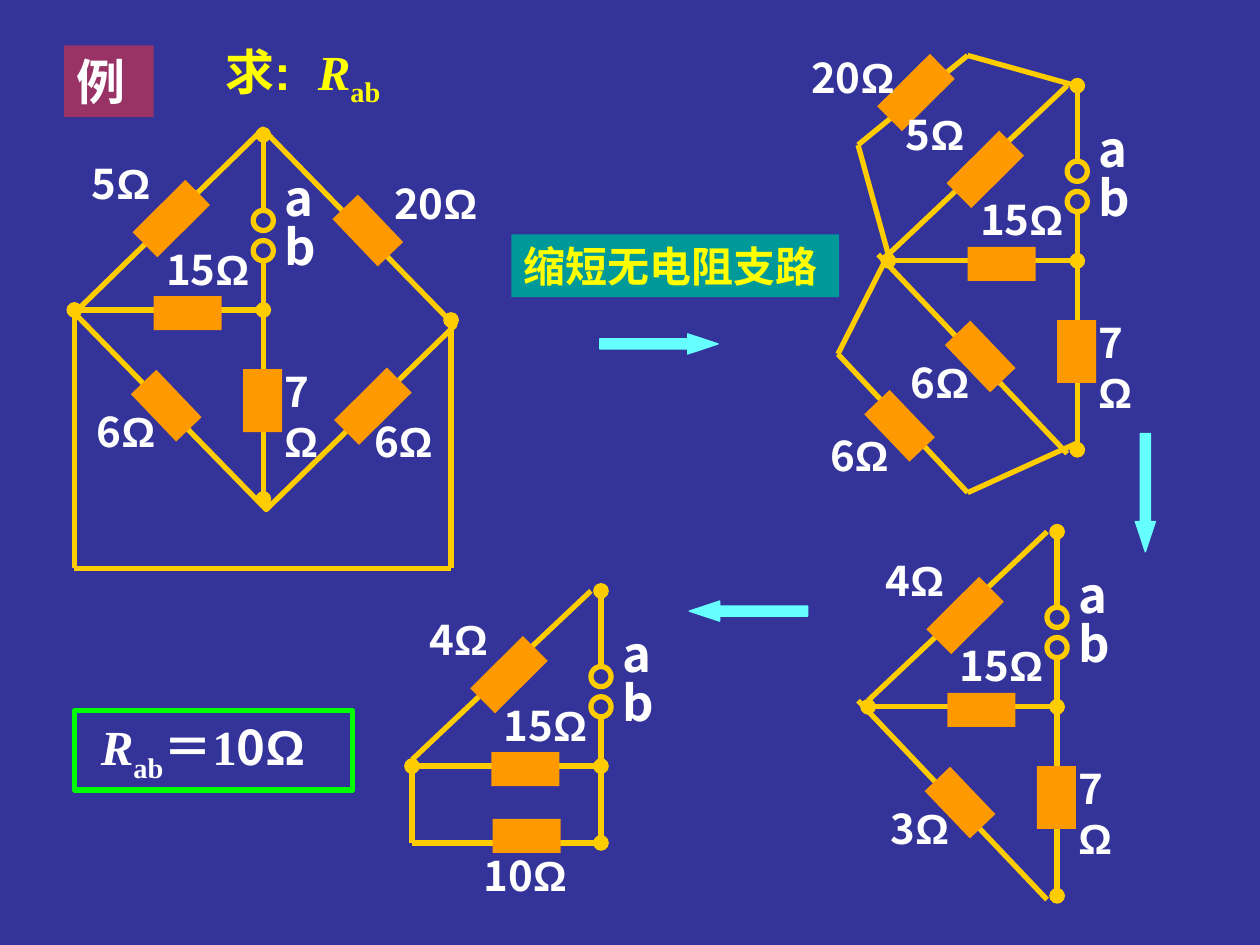
from lxml.etree import SubElement
from pptx import Presentation
from pptx.dml.color import RGBColor
from pptx.enum.shapes import MSO_CONNECTOR, MSO_SHAPE
from pptx.enum.text import MSO_ANCHOR, MSO_AUTO_SIZE
from pptx.oxml.ns import qn
from pptx.util import Inches, Pt

# The slide is a grid of 1000 columns by 750 rows; all lengths count cells.
COLUMNS, ROWS = 1000, 750
CELL = Inches(10) // COLUMNS

WIRE, RESISTOR, ARROW = "FFCC00", "FF9900", "66FFFF"
WHITE, YELLOW = "FFFFFF", "FFFF00"
CJK, SANS, SERIF = "Noto Sans CJK SC", "Arial", "Times New Roman"

# Resistor kind: width, height, rotation
RESISTORS = {
    "rising": (28, 59, 45.2),
    "falling": (28, 52, 316.3),
    "flat": (54, 27, 0),
    "upright": (31, 50, 0),
}

# Parts are placed relative to the left node of their circuit.
UPPER_DIAGONAL = (0, -5, 142, -139)
LOWER_DIAGONAL = (-8, -5, 142, 153)


def color(hex_text):
    return RGBColor.from_string(hex_text)


def cells(*counts):
    return [count * CELL for count in counts]


def add_box(shapes, preset, box, fill=None, line=None, line_width=3, rotation=0):
    shape = shapes.add_shape(preset, *cells(*box))
    shape.shadow.inherit = False
    shape.rotation = rotation
    if fill:
        shape.fill.solid()
        shape.fill.fore_color.rgb = color(fill)
    else:
        shape.fill.background()
    if line:
        shape.line.color.rgb = color(line)
        shape.line.width = Pt(line_width)
    else:
        shape.line.fill.background()
    return shape


def add_wire(shapes, ends, dots=()):
    """Draw a wire; dots names the ends that carry a node."""
    wire = shapes.add_connector(MSO_CONNECTOR.STRAIGHT, *cells(*ends))
    wire.line.color.rgb = color(WIRE)
    wire.line.width = Pt(3)
    line = wire.line._get_or_add_ln()
    for end in dots:
        SubElement(line, qn(f"a:{end}End"), type="oval")
    SubElement(wire._element.spPr, qn("a:effectLst"))


def write(shape, runs, size, text_color, margin_left=10):
    """Fill a shape with bold runs given as (text, font, optional marks)."""
    frame = shape.text_frame
    frame.word_wrap = True
    frame.auto_size = MSO_AUTO_SIZE.SHAPE_TO_FIT_TEXT
    frame.vertical_anchor = MSO_ANCHOR.TOP
    frame.margin_left = margin_left * CELL
    paragraph = frame.paragraphs[0]
    paragraph.alignment = 1
    for text, font_name, *marks in runs:
        run = paragraph.add_run()
        run.text = text
        font = run.font
        font.name, font.size, font.bold = font_name, Pt(size), True
        font.italic = "italic" in marks
        font.color.rgb = color(text_color)
        properties = run._r.get_or_add_rPr()
        SubElement(properties, qn("a:ea"), typeface=CJK)
        if "subscript" in marks:
            properties.set("baseline", "-25000")
        if "spaced" in marks:
            properties.set("spc", "780")


def add_text(shapes, box, runs, size, text_color=WHITE):
    write(shapes.add_textbox(*cells(*box)), runs, size, text_color)


def add_circuit(slide, origin, wires=(), resistors=(), labels=(),
                upper="5", lower=None, diamond=None):
    """Draw the shared core of a circuit, then the parts of its own.

    lower is the value of the lower diagonal resistor; it comes with 7Ω.
    """
    column, row = origin
    shapes = slide.shapes.add_group_shape().shapes
    trunk_end = 150 if lower else 61

    # Parts found in every circuit
    wires = [
        ((150, -139, 150, -79), ("head",)),
        ((150, -39, 150, trunk_end), ("tail",)),
        ((0, 0, 150, 0), ("head", "tail")),
        *wires,
    ]
    resistors = [("rising", 63, -102), ("flat", 63, -11), *resistors]
    labels = [("15", 63, -58, 94), (upper, 4, -126, 67), *labels]
    if lower:
        resistors += [("falling", 59, 50), ("upright", 134, 47)]
        labels += [(lower, 8, 71, 79), ("7", 157, 39, 63)]

    # Wires
    if diamond:
        left, top, width, height = diamond
        add_box(shapes, MSO_SHAPE.RECTANGLE, (column + left, row + top, width, height),
                line=WIRE, rotation=45.7)
    for (x1, y1, x2, y2), dots in wires:
        add_wire(shapes, (column + x1, row + y1, column + x2, row + y2), dots)

    # Terminals
    for name, ring_top, name_top in (("a", -79, -118), ("b", -55, -79)):
        add_box(shapes, MSO_SHAPE.OVAL, (column + 142, row + ring_top, 16, 16), line=WIRE)
        add_text(shapes, (column + 157, row + name_top, 39, 57), [(name, CJK)], 28)

    # Resistors and their values
    for kind, left, top in resistors:
        width, height, rotation = RESISTORS[kind]
        add_box(shapes, MSO_SHAPE.RECTANGLE, (column + left, row + top, width, height),
                fill=RESISTOR, rotation=rotation)
    for value, left, top, width in labels:
        height = 90 if value == "7" else 50
        add_text(shapes, (column + left, row + top, width, height),
                 [(value, CJK), ("Ω", SANS)], 24)


def add_arrow(slide, left, top, rotation):
    arrow = add_box(slide.shapes, MSO_SHAPE.RIGHT_ARROW, (left, top, 94, 16),
                    ARROW, ARROW, 0.75, rotation)
    arrow.adjustments[0], arrow.adjustments[1] = 0.5, 1.51


def add_panel(slide, box, runs, size, text_color, fill=None, line=None, margin_left=10):
    panel = add_box(slide.shapes, MSO_SHAPE.RECTANGLE, box, fill, line)
    write(panel, runs, size, text_color, margin_left)


def main():
    presentation = Presentation()
    presentation.slide_width, presentation.slide_height = cells(COLUMNS, ROWS)
    slide = presentation.slides.add_slide(presentation.slide_layouts[6])
    slide.background.fill.solid()
    slide.background.fill.fore_color.rgb = color("333399")
    resistance = [("R", SERIF, "italic"), ("ab", SERIF, "subscript")]

    # Heading
    add_panel(slide, (51, 36, 71, 57), [("例", SERIF)], 28, WHITE, fill="993366")
    add_text(slide.shapes, (169, 28, 165, 63),
             [("求:", SANS), (" ", SANS, "spaced"), *resistance], 28, YELLOW)

    # Given circuit
    add_circuit(
        slide, (59, 246), lower="6", diamond=(42, -97, 218, 209),
        wires=[((0, 0, 0, 205), ()), ((0, 205, 299, 205), ()),
               ((299, 8, 299, 205), ("head",))],
        resistors=[("falling", 219, -89), ("rising", 223, 47)],
        labels=[("20", 244, -110, 86), ("6", 228, 79, 71)])

    # Circuit with the resistance-free branch shortened
    bends = [(-40, 74, 63, 184), (0, -5, -40, 74), (149, 145, 63, 184),
             (-24, -92, 63, -163), (-24, -92, 0, -5), (63, -163, 149, -139)]
    add_circuit(
        slide, (705, 207), lower="6",
        wires=[(ends, ()) for ends in (UPPER_DIAGONAL, LOWER_DIAGONAL, *bends)],
        resistors=[("falling", -5, 105), ("rising", 8, -163)],
        labels=[("20", -71, -171, 86), ("6", -56, 129, 71)])

    # Parallel pairs merged
    add_circuit(slide, (689, 561), upper="4", lower="3",
                wires=[(UPPER_DIAGONAL, ()), (LOWER_DIAGONAL, ())])

    # Series pair merged
    add_circuit(
        slide, (327, 608), upper="4",
        wires=[(UPPER_DIAGONAL, ()), ((0, -5, 0, 61), ()), ((0, 61, 149, 61), ())],
        resistors=[("flat", 64, 42)], labels=[("10", 47, 61, 110)])

    # Arrows between the steps
    for left, top, rotation in ((476, 265, 0), (862, 383, 90), (547, 477, 180)):
        add_arrow(slide, left, top, rotation)

    # Result and method
    add_panel(slide, (59, 564, 221, 63),
              [*resistance, ("＝1", SERIF), ("0", CJK), ("Ω", SANS)],
              28, WHITE, line="00FF00", margin_left=21)
    add_panel(slide, (406, 186, 260, 50), [("缩短无电阻支路", SANS)], 24, YELLOW,
              fill="009999")
    presentation.save("out.pptx")


if __name__ == "__main__":
    main()
